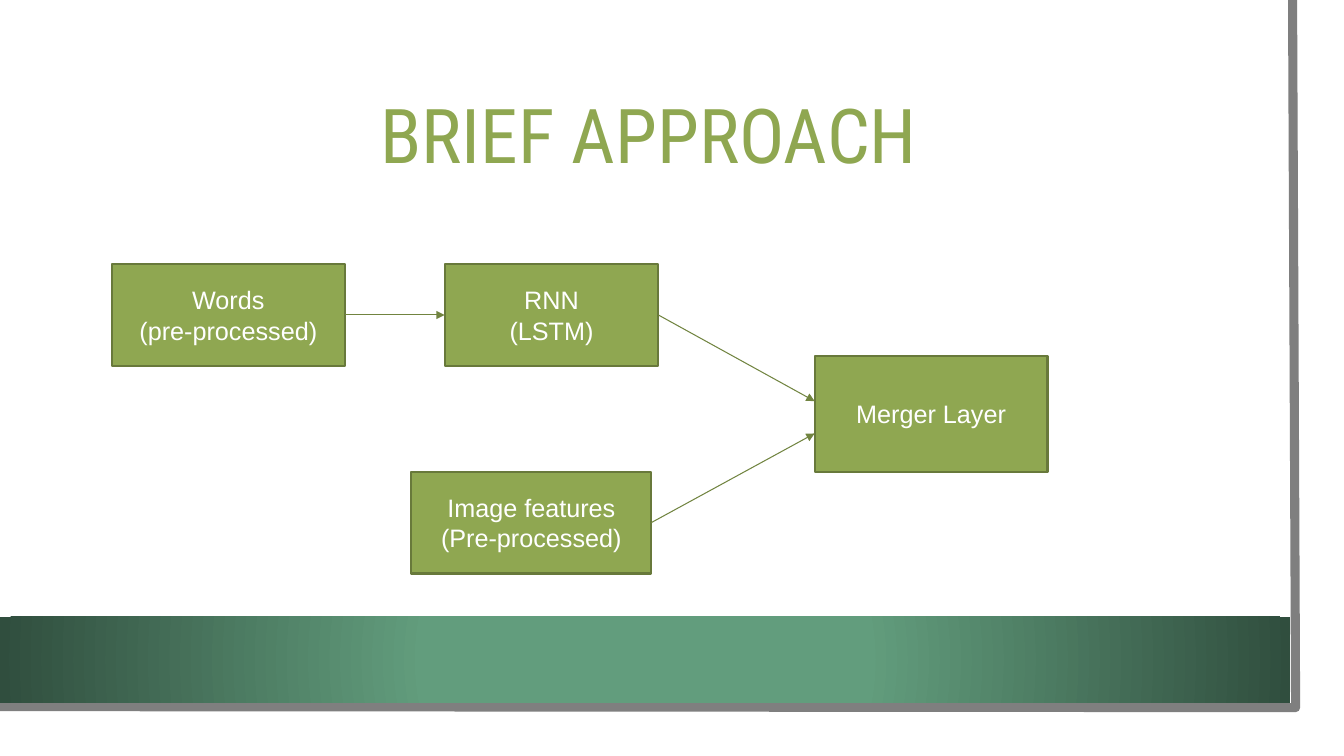
from dataclasses import dataclass

from lxml import etree
from pptx import Presentation
from pptx.dml.color import RGBColor
from pptx.enum.shapes import MSO_CONNECTOR, MSO_SHAPE
from pptx.enum.text import MSO_ANCHOR, MSO_AUTO_SIZE, PP_ALIGN
from pptx.oxml import parse_xml
from pptx.oxml.ns import nsdecls, qn
from pptx.util import Inches, Pt

RECT = MSO_SHAPE.RECTANGLE
STRAIGHT = MSO_CONNECTOR.STRAIGHT
MIDDLE = MSO_ANCHOR.MIDDLE
CENTER = PP_ALIGN.CENTER
NO_AUTOFIT = MSO_AUTO_SIZE.NONE
LEFT, RIGHT = 1, 3


@dataclass(frozen=True)
class Theme:
    green: str = "8FA751"
    box_line: str = "68793B"
    arrow: str = "718440"
    frame: str = "7F7F7F"
    text: str = "FFFFFF"
    band_stops: tuple = ((0, "629D7D"), (34, "629D7D"), (100, "304E3E"))
    title_font: str = "Roboto Condensed"
    body_font: str = "Arial"
    title_size: int = 54
    body_size: int = 18


def rgb(value):
    return RGBColor.from_string(value)


class SlideBuilder:
    def __init__(self, prs, theme):
        self.theme = theme
        self.s = prs.slides.add_slide(prs.slide_layouts[5])

    def set_line(self, sp, color, width):
        sp.line.color.rgb = rgb(color)
        sp.line.width = Pt(width)

    def set_text(self, sp, lines, font, size, color, spacing=1.0):
        tf = sp.text_frame
        frame_format = {
            "word_wrap": True, "auto_size": NO_AUTOFIT, "vertical_anchor": MIDDLE,
            "margin_left": Inches(0.1), "margin_right": Inches(0.1),
            "margin_top": Inches(0.05), "margin_bottom": Inches(0.05),
        }
        for name, value in frame_format.items():
            setattr(tf, name, value)
        for i, line in enumerate(lines):
            p = tf.add_paragraph() if i else tf.paragraphs[0]
            p.alignment = CENTER
            p.line_spacing = spacing
            r = p.add_run()
            r.text = line
            for name, value in {"name": font, "size": Pt(size)}.items():
                setattr(r.font, name, value)
            r.font.color.rgb = rgb(color)

    def title(self, text, left, top, width, height):
        t = self.theme
        sp = self.s.shapes.title
        place = {"left": left, "top": top, "width": width, "height": height}
        for name, value in place.items():
            setattr(sp, name, Inches(value))
        self.set_text(sp, [text], t.title_font, t.title_size, t.green, 0.9)

    def frame(self, start, *points):
        """Draw an open, unfilled thick outline."""
        builder = self.s.shapes.build_freeform(*map(Inches, start))
        builder.add_line_segments(
            [tuple(map(Inches, point)) for point in points], close=False)
        sp = builder.convert_to_shape()
        sp.shadow.inherit = False
        sp.fill.background()
        self.set_line(sp, self.theme.frame, 6.5)

    def rect(self, left, top, width, height):
        sp = self.s.shapes.add_shape(
            RECT, *map(Inches, (left, top, width, height)))
        sp.shadow.inherit = False
        return sp

    def band(self, *place):
        """Draw a rectangle filled with a radial gradient."""
        sp = self.rect(*place)
        sp.line.fill.background()
        stops = "".join(
            f'<a:gs pos="{pos * 1000}"><a:srgbClr val="{color}"/></a:gs>'
            for pos, color in self.theme.band_stops)
        gradient = parse_xml(
            f'<a:gradFill {nsdecls("a")} rotWithShape="1"><a:gsLst>{stops}</a:gsLst>'
            '<a:path path="circle"><a:fillToRect l="50000" t="50000" r="50000" '
            'b="50000"/></a:path></a:gradFill>')
        sp.element.spPr.find(qn("a:prstGeom")).addnext(gradient)

    def box(self, lines, *place):
        t = self.theme
        sp = self.rect(*place)
        sp.fill.solid()
        sp.fill.fore_color.rgb = rgb(t.green)
        self.set_line(sp, t.box_line, 1.5)
        self.set_text(sp, lines, t.body_font, t.body_size, t.text)
        return sp

    def arrow(self, source, target, end_y=None):
        """Join right side to left side; end_y ends off the side's middle."""
        y = Inches(end_y) if end_y else target.top + target.height // 2
        cx = self.s.shapes.add_connector(
            STRAIGHT, source.left + source.width,
            source.top + source.height // 2, target.left, y)
        cx.begin_connect(source, RIGHT)
        if end_y is None:
            cx.end_connect(target, LEFT)
        self.set_line(cx, self.theme.arrow, 0.75)
        sp_pr = cx.element.spPr
        etree.SubElement(sp_pr.find(qn("a:ln")), qn("a:tailEnd"), type="triangle")
        etree.SubElement(sp_pr, qn("a:effectLst"))


def main():
    prs = Presentation()
    prs.slide_width, prs.slide_height = Inches(13.33), Inches(7.5)
    slide = SlideBuilder(prs, Theme())

    slide.frame((12.82, 0), (12.85, 7.02), (-0.03, 7.01))
    slide.band(0, 6.12, 12.8, 0.85)
    slide.title("BRIEF APPROACH", 0.75, 0.75, 11.37, 1.26)

    words = slide.box(["Words", "(pre-processed)"], 1.11, 2.62, 2.31, 1.01)
    rnn = slide.box(["RNN", "(LSTM)"], 4.41, 2.62, 2.12, 1.01)
    merger = slide.box(["Merger Layer"], 8.08, 3.53, 2.31, 1.15)
    features = slide.box(["Image features", "(Pre-processed)"], 4.08, 4.68, 2.38, 1.01)

    slide.arrow(words, rnn)
    slide.arrow(rnn, merger, 3.98)
    slide.arrow(features, merger, 4.3)
    prs.save("out.pptx")


if __name__ == "__main__":
    main()
